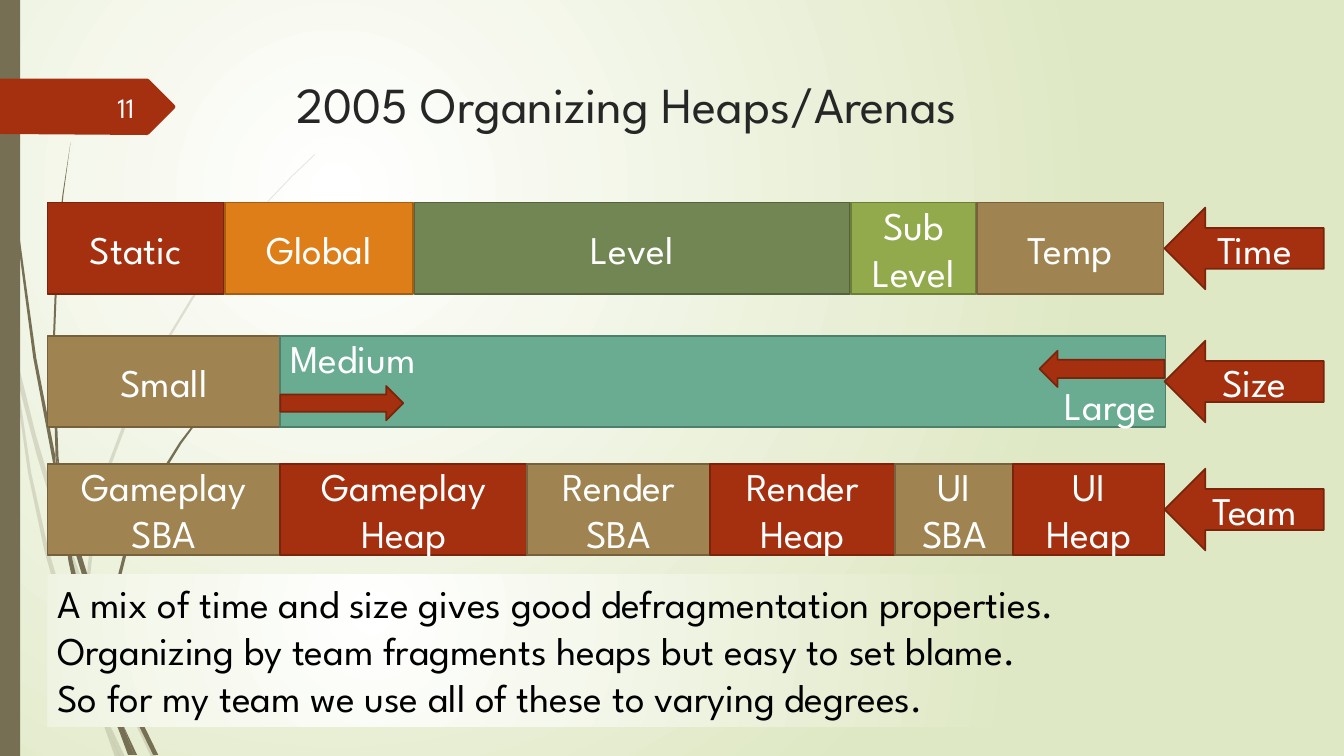
"""Build the slide that compares heap layouts by time, size and team."""
from dataclasses import dataclass

from lxml.etree import SubElement
from pptx import Presentation
from pptx.dml.color import RGBColor
from pptx.enum.shapes import MSO_SHAPE as Preset
from pptx.enum.text import MSO_ANCHOR as Anchor, PP_ALIGN as Align
from pptx.oxml.ns import qn
from pptx.util import Inches, Pt


@dataclass(frozen=True)
class Theme:
    font: str = "League Spartan"
    title_size: int = 36
    body_size: int = 28
    number_size: int = 20
    outline_width: float = 1.25
    outline_shade: float = 0.74
    title: str = "262626"
    white: str = "FFFFFF"
    number: str = "FEFFFF"
    black: str = "000000"
    glow: tuple = ("FFFFFF", "DFE8C4")
    stem: str = "766F54"
    red: str = "A53010"
    orange: str = "DE7E18"
    moss: str = "728653"
    lime: str = "92AA4C"
    tan: str = "9F8351"
    teal: str = "6AAC91"


THEME = Theme()
ROW_LEFT, ROW_HEIGHT = 0.47, 0.91
ARROW_LEFT, ARROW_WIDTH, ARROW_HEIGHT = 11.55, 1.58, 0.81

ROWS = [
    ("Time", 2.01, 0.01, [("Static", 1.75, THEME.red), ("Global", 1.87, THEME.orange),
                          ("Level", 4.32, THEME.moss), ("Sub Level", 1.24, THEME.lime),
                          ("Temp", 1.85, THEME.tan)]),
    ("Size", 3.33, 0, [("Small", 2.31, THEME.tan), ("Medium\nLarge", 8.78, THEME.teal)]),
    ("Team", 4.6, 0, [("Gameplay\nSBA", 2.31, THEME.tan), ("Gameplay\nHeap", 2.45, THEME.red),
                      ("Render\nSBA", 1.81, THEME.tan), ("Render\nHeap", 1.84, THEME.red),
                      ("UI\nSBA", 1.17, THEME.tan), ("UI\nHeap", 1.5, THEME.red)]),
]

SUMMARY = """A mix of time and size gives good defragmentation properties.
Organizing by team fragments heaps but easy to set blame.
So for my team we use all of these to varying degrees."""

NUMBER_TAB = [(0, 0.78), (1.46, 0.78), (1.48, 0.79), (1.73, 1.04), (1.74, 1.06),
              (1.73, 1.08), (1.48, 1.33), (1.46, 1.34), (0, 1.33)]

PALE_STEMS = [
    [(0.11, 3.5), (0.09, 3.22), (0, 2.82), (0, 2.99), (0.1, 3.44)],
    [(0.58, 5.22), (0.84, 5.99), (0.85, 5.86), (0.62, 5.2), (0.36, 4.33), (0.14, 3.45),
     (0.17, 3.76), (0.36, 4.5)],
    [(0.92, 6.07), (0.88, 5.96), (0.88, 6.1), (1.23, 6.94), (1.5, 7.51), (1.55, 7.51),
     (1.27, 6.92)],
    [(1.19, 7.51), (1.24, 7.51), (1.05, 7.11)],
    [(0.93, 6.83), (0.7, 6.19), (0.48, 5.45), (0.31, 4.69), (0.17, 3.76), (0.11, 3.5),
     (0.28, 4.7), (0.44, 5.46), (0.65, 6.21), (0.92, 6.93), (1.01, 7.14), (0.99, 7.07)],
    [(0.84, 5.99), (0.87, 6.46), (0.93, 6.83), (0.96, 6.92), (1.05, 7.11), (1.03, 7.06),
     (0.91, 6.46), (0.88, 6.1), (0.88, 6.08)],
    [(0.88, 5.84), (0.95, 5.22), (1.1, 4.62), (1.32, 4.04), (1.6, 3.49), (1.92, 2.96),
     (2.29, 2.45), (2.68, 1.98), (2.9, 1.75), (3.12, 1.54), (3.12, 1.53), (2.89, 1.75),
     (2.68, 1.97), (2.28, 2.44), (1.9, 2.95), (1.58, 3.48), (1.29, 4.03), (1.07, 4.61),
     (0.91, 5.22), (0.85, 5.84), (0.85, 5.86), (0.88, 5.96)],
    [(1.01, 7.14), (1.14, 7.51), (1.19, 7.51)],
    [(0.88, 6.08), (0.88, 5.96), (0.85, 5.86), (0.84, 5.99)],
    [(0.96, 6.92), (0.93, 6.83), (0.99, 7.07), (1.01, 7.14), (1.19, 7.51), (1.05, 7.11)],
]

DARK_STEMS = [
    [(0.07, 1.1), (0.17, 2.33), (0.33, 3.55), (0.56, 4.77), (0.57, 4.81), (0.55, 4.57),
     (0.55, 4.53), (0.36, 3.55), (0.19, 2.32), (0.08, 1.09), (0.05, 0.48), (0.04, 0),
     (0.03, 0), (0.04, 0.48)],
    [(0.88, 5.92), (1.06, 6.45), (1.06, 6.31), (0.93, 5.9), (0.75, 5.32), (0.6, 4.72),
     (0.64, 5.05), (0.75, 5.49)],
    [(1.13, 6.49), (1.1, 6.41), (1.11, 6.56), (1.32, 7.08), (1.52, 7.49), (1.57, 7.49),
     (1.36, 7.06)],
    [(1.1, 6.91), (0.98, 6.57), (0.84, 6.07), (0.72, 5.56), (0.64, 5.05), (0.57, 4.77),
     (0.68, 5.57), (0.79, 6.08), (0.93, 6.59), (1.11, 7.08), (1.17, 7.22), (1.16, 7.17)],
    [(0.6, 4.72), (0.58, 4.53), (0.54, 3.49), (0.58, 2.45), (0.63, 1.93), (0.7, 1.41),
     (0.62, 1.93), (0.56, 2.45), (0.52, 3.49), (0.55, 4.49)],
    [(1.33, 7.49), (1.36, 7.49), (1.22, 7.19)],
    [(0.57, 4.77), (0.64, 5.05), (0.6, 4.72), (0.55, 4.49), (0.55, 4.53)],
    [(1.11, 6.33), (1.15, 5.92), (1.25, 5.52), (1.4, 5.13), (1.58, 4.76), (1.8, 4.4),
     (2.05, 4.06), (2.31, 3.74), (2.45, 3.59), (2.61, 3.44), (2.6, 3.44), (2.45, 3.58),
     (2.31, 3.73), (2.04, 4.05), (1.78, 4.39), (1.56, 4.74), (1.37, 5.12), (1.22, 5.51),
     (1.12, 5.91), (1.06, 6.31), (1.1, 6.41)],
    [(1.17, 7.22), (1.27, 7.49), (1.31, 7.49)],
    [(1.06, 6.45), (1.1, 6.91), (1.16, 7.06), (1.22, 7.19), (1.21, 7.16), (1.11, 6.56),
     (1.09, 6.51)],
    [(1.06, 6.45), (1.09, 6.51), (1.11, 6.56), (1.1, 6.41), (1.06, 6.31)],
    [(1.16, 7.06), (1.1, 6.91), (1.16, 7.17), (1.17, 7.22), (1.3, 7.49), (1.33, 7.49),
     (1.22, 7.19)],
]


class SlideBuilder:
    """Draw the elements of one slide in one theme."""

    def __init__(self, slide, theme):
        self.slide = slide
        self.theme = theme

    def glow(self, fill, element):
        fill.gradient()
        gradient = element.find(".//" + qn("a:gradFill"))
        for child in list(gradient):
            gradient.remove(child)
        stops = SubElement(gradient, qn("a:gsLst"))
        for position, color in zip(("0", "100000"), self.theme.glow):
            stop = SubElement(stops, qn("a:gs"), pos=position)
            SubElement(stop, qn("a:srgbClr"), val=color)
        circle = SubElement(gradient, qn("a:path"), path="circle")
        SubElement(circle, qn("a:fillToRect"), l="50000", t="50000", r="100000", b="100000")

    def background(self):
        self.glow(self.slide.background.fill, self.slide.element)

    def paint(self, shape, color, outlined=False):
        shape.shadow.inherit = False
        shape.fill.solid()
        shape.fill.fore_color.rgb = RGBColor.from_string(color)
        if outlined:
            shade = [round(part * self.theme.outline_shade) for part in RGBColor.from_string(color)]
            shape.line.color.rgb = RGBColor(*shade)
            shape.line.width = Pt(self.theme.outline_width)
        else:
            shape.line.fill.background()

    def set_text(self, shape, text, size, color, align=Align.LEFT, anchor=Anchor.TOP):
        frame = shape.text_frame
        frame.text = text
        frame.word_wrap = True
        frame.vertical_anchor = anchor
        for paragraph in frame.paragraphs:
            paragraph.alignment = align
            for run in paragraph.runs:
                run.font.name = self.theme.font
                run.font.size = Pt(size)
                run.font.color.rgb = RGBColor.from_string(color)

    def outline(self, shapes, points, color, opacity=100):
        corners = [(Inches(x), Inches(y)) for x, y in points]
        builder = shapes.build_freeform(*corners[0])
        builder.add_line_segments(corners[1:])
        shape = builder.convert_to_shape()
        self.paint(shape, color)
        if opacity < 100:
            tint = shape.element.spPr.find(".//" + qn("a:srgbClr"))
            SubElement(tint, qn("a:alpha"), val=str(opacity * 1000))

    def stems(self, outlines, opacity=100):
        group = self.slide.shapes.add_group_shape()
        for points in outlines:
            self.outline(group.shapes, points, self.theme.stem, opacity)

    def block(self, preset, box, color, text="", outlined=True):
        shape = self.slide.shapes.add_shape(preset, *map(Inches, box))
        self.paint(shape, color, outlined)
        if text:
            self.set_text(shape, text, self.theme.body_size, self.theme.white,
                          Align.CENTER, Anchor.MIDDLE)
        return shape

    def label(self, box, text, size, color, align=Align.LEFT, anchor=Anchor.TOP):
        shape = self.slide.shapes.add_textbox(*map(Inches, box))
        self.set_text(shape, text, size, color, align, anchor)

    def panel(self, box, text):
        shape = self.block(Preset.RECTANGLE, box, self.theme.white, outlined=False)
        self.glow(shape.fill, shape.element)
        self.set_text(shape, text, self.theme.body_size, self.theme.black)

    def row(self, name, top, gap, blocks):
        left = ROW_LEFT
        for text, width, color in blocks:
            shape = self.block(Preset.RECTANGLE, (left, top, width, ROW_HEIGHT), color, text)
            if text == "Medium\nLarge":
                for paragraph, align in zip(shape.text_frame.paragraphs, (Align.LEFT, Align.RIGHT)):
                    paragraph.alignment = align
            left += width + gap
        arrow_top = top + (ROW_HEIGHT - ARROW_HEIGHT) / 2
        self.block(Preset.LEFT_ARROW, (ARROW_LEFT, arrow_top, ARROW_WIDTH, ARROW_HEIGHT),
                   self.theme.red, name)


def main():
    presentation = Presentation()
    presentation.slide_width, presentation.slide_height = Inches(13.33), Inches(7.5)
    slide = presentation.slides.add_slide(presentation.slide_layouts[6])
    builder = SlideBuilder(slide, THEME)
    builder.background()
    builder.stems(PALE_STEMS, opacity=20)
    builder.stems(DARK_STEMS)
    builder.block(Preset.RECTANGLE, (0, 0, 0.2, 7.5), THEME.stem, outlined=False)
    builder.outline(slide.shapes, NUMBER_TAB, THEME.red)
    builder.label((2.84, 0.68, 9.75, 1.4), "2005 Organizing Heaps/Arenas",
                  THEME.title_size, THEME.title)
    builder.label((0.58, 0.86, 0.85, 0.4), "11", THEME.number_size, THEME.number,
                  Align.RIGHT, Anchor.MIDDLE)
    for row in ROWS:
        builder.row(*row)
    builder.panel((0.47, 5.7, 12.87, 1.51), SUMMARY)
    builder.block(Preset.LEFT_ARROW, (10.31, 3.48, 1.24, 0.36), THEME.red)
    builder.block(Preset.RIGHT_ARROW, (2.78, 3.83, 1.22, 0.34), THEME.red)
    presentation.save("out.pptx")


if __name__ == "__main__":
    main()
